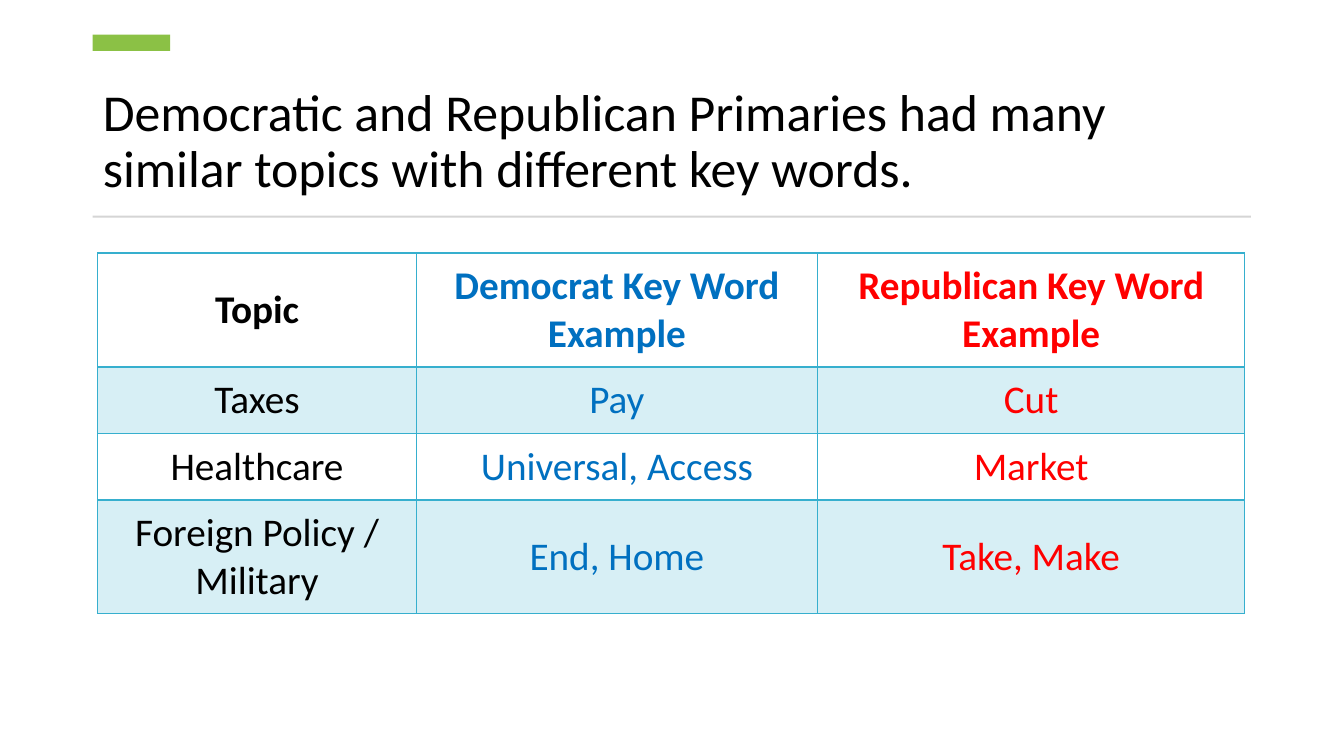
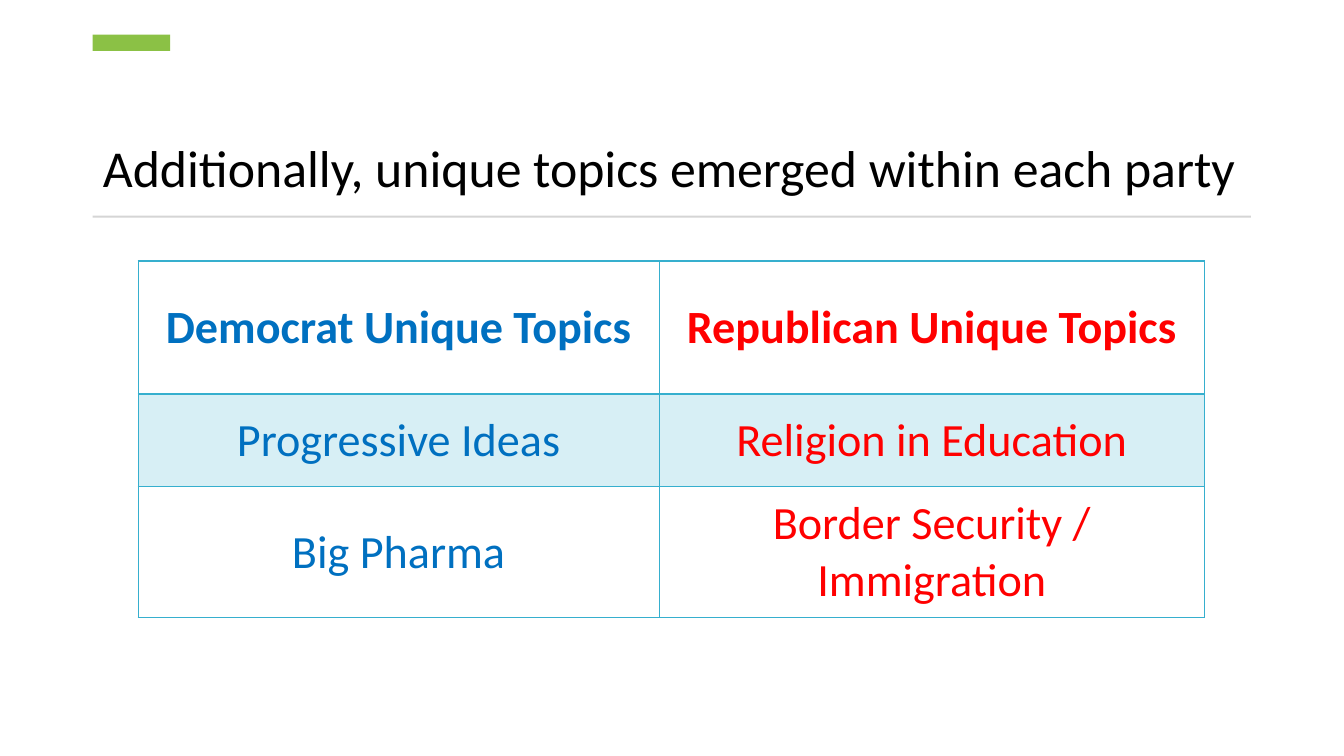
from lxml import etree
from pptx import Presentation
from pptx.dml.color import RGBColor
from pptx.enum import shapes, text
from pptx.oxml import ns
from pptx.util import Pt

FONT = "Calibri"
BLACK, BLUE, RED = "000000", "0070C0", "FF0000"
GREEN, GREY, TEAL, PALE_TEAL = "8BC145", "D5D5D5", "36AFCE", "D7EFF5"
LEFT, WIDTH = 66.24, 827.28
BANDS = [
    (GREEN, (LEFT, 24.8, 55.4, 11.5)),
    (GREY, (LEFT, 154.1, WIDTH, 1.44)),
]

SLIDES = [
    {
        "title": "Democratic and Republican Primaries had many similar topics with different key words.",
        "left": 69.84, "top": 180.72, "size": 28, "inset": 11.52,
        "columns": [227.52, 286.56, 305.28],
        "rows": [81.36, 47.52, 47.52, 81.36],
        "colors": [BLACK, BLUE, RED],
        "cells": [
            ["Topic", "Democrat Key Word Example", "Republican Key Word Example"],
            ["Taxes", "Pay", "Cut"],
            ["Healthcare", "Universal, Access", "Market"],
            ["Foreign Policy / Military", "End, Home", "Take, Make"],
        ],
    },
    {
        "title": "Additionally, unique topics emerged within each party",
        "left": 98.64, "top": 186.48, "size": 33, "inset": 12.96,
        "columns": [372.24, 389.52],
        "rows": [95.04, 66.24, 93.6],
        "colors": [BLUE, RED],
        "cells": [
            ["Democrat Unique Topics", "Republican Unique Topics"],
            ["Progressive Ideas", "Religion in Education"],
            ["Big Pharma", "Border Security / Immigration"],
        ],
    },
]


def format_text(paragraph, color, size, bold, alignment):
    paragraph.alignment = alignment
    paragraph.font.color.rgb = RGBColor.from_string(color)
    for name, value in {"name": FONT, "size": Pt(size), "bold": bold}.items():
        setattr(paragraph.font, name, value)


def add_borders(cell, widths):
    properties = cell._tc.get_or_add_tcPr()
    for side, width in widths.items():
        line = etree.SubElement(properties, ns.qn(f"a:ln{side}"), w=str(Pt(width)))
        fill = etree.SubElement(line, ns.qn("a:solidFill"))
        etree.SubElement(fill, ns.qn("a:srgbClr"), val=TEAL)


presentation = Presentation()
presentation.slide_width, presentation.slide_height = Pt(960), Pt(540)

for content in SLIDES:
    slide = presentation.slides.add_slide(presentation.slide_layouts[5])

    title = slide.shapes.title
    title_place = {"left": LEFT, "top": 54, "width": WIDTH, "height": 91.44}
    for name, value in title_place.items():
        setattr(title, name, Pt(value))
    title_format = {
        "text": content["title"],
        "word_wrap": True,
        "auto_size": text.MSO_AUTO_SIZE.NONE,
        "vertical_anchor": text.MSO_ANCHOR.BOTTOM,
    }
    for name, value in title_format.items():
        setattr(title.text_frame, name, value)
    heading = title.text_frame.paragraphs[0]
    heading.line_spacing = 0.9
    format_text(heading, BLACK, 37, False, text.PP_ALIGN.LEFT)

    for color, place in BANDS:
        band = slide.shapes.add_shape(shapes.MSO_SHAPE.RECTANGLE, *map(Pt, place))
        band.shadow.inherit = False
        band.fill.solid()
        band.fill.fore_color.rgb = RGBColor.from_string(color)
        band.line.fill.background()

    columns, rows = content["columns"], content["rows"]
    frame = (content["left"], content["top"], sum(columns), sum(rows))
    table = slide.shapes.add_table(len(rows), len(columns), *map(Pt, frame)).table
    table.horz_banding = False
    for column, width in zip(table.columns, columns):
        column.width = Pt(width)
    for row, height in zip(table.rows, rows):
        row.height = Pt(height)

    inset = content["inset"]
    cell_format = {
        "margin_left": Pt(inset),
        "margin_right": Pt(inset),
        "margin_top": Pt(inset / 2),
        "margin_bottom": Pt(inset / 2),
        "vertical_anchor": text.MSO_ANCHOR.MIDDLE,
    }
    for row_index, words in enumerate(content["cells"]):
        is_header = row_index == 0
        for column_index, word in enumerate(words):
            cell = table.cell(row_index, column_index)
            cell.text = word
            for name, value in cell_format.items():
                setattr(cell, name, value)
            format_text(cell.text_frame.paragraphs[0], content["colors"][column_index],
                        content["size"], is_header, text.PP_ALIGN.CENTER)
            add_borders(cell, {"L": 1, "R": 1, "T": 2 if row_index == 1 else 1,
                               "B": 2 if is_header else 1})
            if row_index % 2:
                cell.fill.solid()
                cell.fill.fore_color.rgb = RGBColor.from_string(PALE_TEAL)
            else:
                cell.fill.background()

presentation.save("out.pptx")
